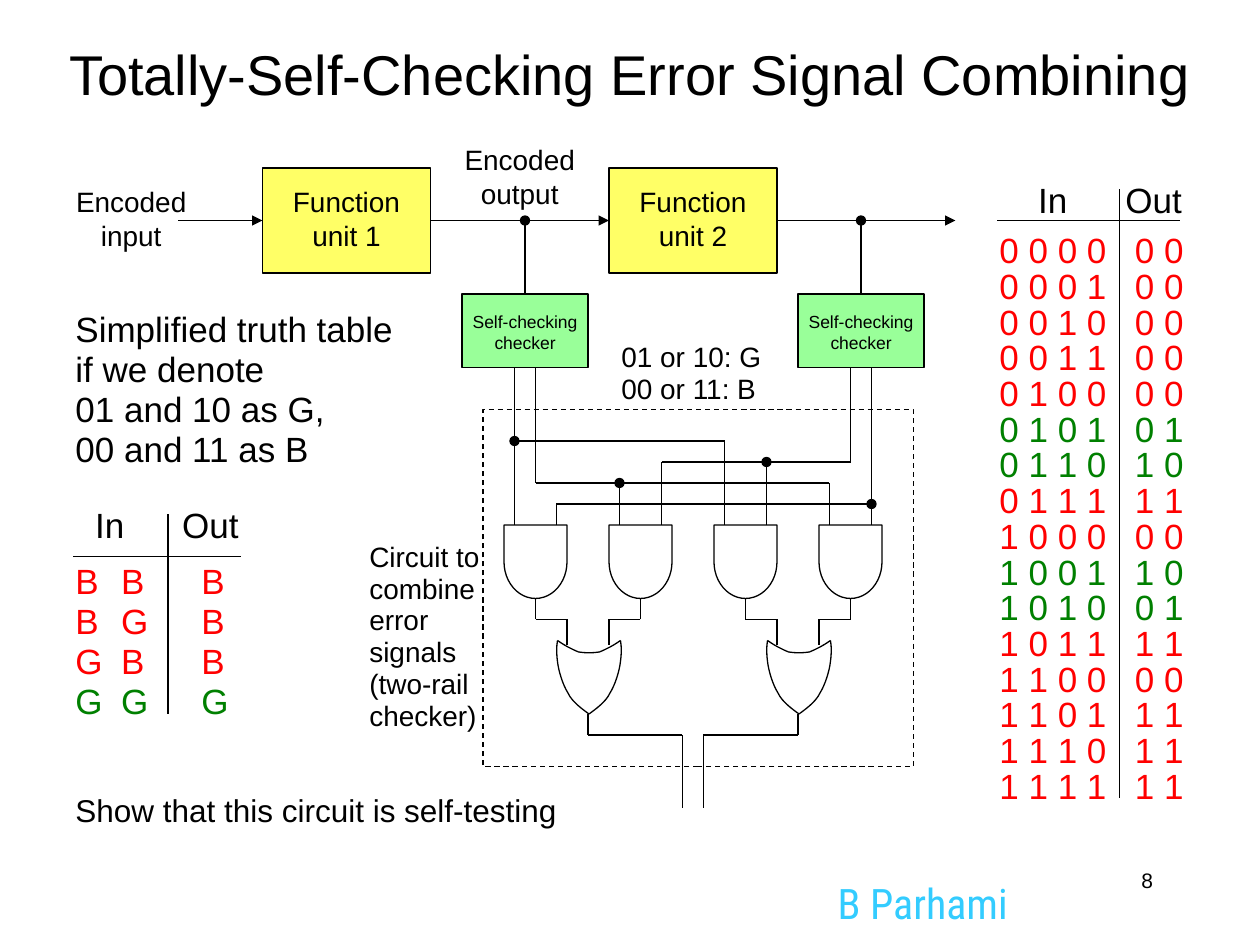
from lxml.etree import SubElement
from pptx import Presentation
from pptx.dml.color import RGBColor
from pptx.enum.dml import MSO_LINE
from pptx.enum.shapes import MSO_CONNECTOR, MSO_SHAPE
from pptx.enum.text import MSO_ANCHOR, PP_ALIGN
from pptx.oxml.ns import qn
from pptx.util import Cm, Pt

# Places and sizes are in grid units of a twelfth of an inch
UNIT = Cm(2.54) / 12
THEME = dict(font="Arial", author_font="Roboto Condensed",
             black="000000", white="FFFFFF", unit="FFFF66", checker="99FF99",
             bad="FF0000", good="008000", author="33CCFF", line=0.75,
             title=32, signature=24, table=20, note=18, label=16, number=12, small=10)

# --- Content ---
TITLE = "Totally-Self-Checking Error Signal Combining"
BOXES = [  # place, fill
    ((25, 16, 16, 10), "unit"), ((58, 16, 16, 10), "unit"),
    ((44, 28, 12, 7), "checker"), ((76, 28, 12, 7), "checker"),
]
CENTRED = dict(align=PP_ALIGN.CENTER)
TIGHT = dict(spacing=0.95)
LABELS = [  # text, place, format
    (["Function", "unit 1"], (22, 17, 22, 7.7), CENTRED),
    (["Function", "unit 2"], (55, 17, 22, 7.7), CENTRED),
    (["Self-checking checker"], (43, 29, 14, 5.3), dict(CENTRED, size="small")),
    (["Self-checking checker"], (75, 29, 14, 5.3), dict(CENTRED, size="small")),
    (["Encoded input"], (6, 17, 13, 7.7), CENTRED),
    (["Encoded output"], (43, 13, 13, 7.7), CENTRED),
    (["Circuit to combine error signals", "(two-rail checker)"], (34, 51, 13, 19.4), TIGHT),
    (["01 or 10: G", "00 or 11: B"], (58, 32, 16, 7.3), TIGHT),
    (["Show that this circuit is self-testing"], (6, 75, 50, 4.7), dict(TIGHT, size="note")),
    (["B Parhami"], (78.6, 83, 19, 5),
     dict(size="signature", font="author_font", color="author")),
    (["8"], (86, 82, 25, 6), dict(size="number", align=PP_ALIGN.RIGHT)),
]
INTRO = ["Simplified truth table", "if we denote", "01 and 10 as G,", "00 and 11 as B"]
SHORT_TABLE = [("B", "B", "B"), ("B", "G", "B"), ("G", "B", "B"), ("G", "G", "G")]
FULL_TABLE = [
    ("0000", "00"), ("0001", "00"), ("0010", "00"), ("0011", "00"),
    ("0100", "00"), ("0101", "01"), ("0110", "10"), ("0111", "11"),
    ("1000", "00"), ("1001", "10"), ("1010", "01"), ("1011", "11"),
    ("1100", "00"), ("1101", "11"), ("1110", "11"), ("1111", "11"),
]
WIRES = [  # corner points, end mark
    ([(17, 21), (25, 21)], "triangle"),
    ([(41, 21), (58, 21)], "triangle"),
    ([(74, 21), (91, 21)], "triangle"),
    ([(50, 28), (50, 21)], "oval"),
    ([(82, 28), (82, 21)], "oval"),
    # checker outputs to the AND gates
    ([(49, 35), (49, 50)], None),
    ([(83, 35), (83, 50)], None),
    ([(51, 35), (51, 46), (79, 46), (79, 50)], None),
    ([(81, 35), (81, 44), (63, 44), (63, 50)], None),
    ([(69, 50), (69, 42), (49, 42)], "oval"),
    ([(53, 50), (53, 48), (83, 48)], "oval"),
    ([(59, 50), (59, 46)], "oval"),
    ([(73, 50), (73, 44)], "oval"),
    # OR gates to the circuit outputs
    ([(56, 68), (56, 70), (65, 70), (65, 77)], None),
    ([(76, 68), (76, 70), (67, 70), (67, 77)], None),
    # table rules
    ([(95, 21), (112.4, 21)], None),
    ([(106.65, 18), (106.65, 76)], None),
    ([(7, 53), (23, 53)], None),
    ([(16, 49), (16, 68)], None),
]
# Leads outside the frame: columns, top, bottom
LEADS = [((49, 51, 81, 83), 35, 39), ((65, 67), 73, 77)]
AND_LEFTS = [48, 58, 68, 78]
OR_CENTRES = [56.1, 76.1]
# Bezier points of an OR gate: its back and its right side
OR_BACK = [(3, 0), (2.3, 0.5), (1.7, 0.8), (1, 1.1), (0.3, 1.2), (-0.3, 1.2), (-1, 1.1),
           (-1.7, 0.8), (-2.3, 0.5), (-3, 0)]
OR_SIDE = [(3, 0), (3.1, 0.6), (3.1, 1.2), (3, 2), (2.9, 2.9), (2.5, 4.2), (2, 5),
           (1.6, 5.9), (0.4, 6.7), (0, 7)]


def grid(*values):
    return [round(v * UNIT) for v in values]


def rgb(name):
    return RGBColor.from_string(THEME[name])


def write(tf, lines, size="label", font="font", color="black",
          align=PP_ALIGN.LEFT, spacing=None):
    """Each line is a string or (string, dict of color, before, tabs)."""
    tf.word_wrap = True
    for i, line in enumerate(lines):
        text, extra = (line, {}) if isinstance(line, str) else line
        p = tf.paragraphs[0] if i == 0 else tf.add_paragraph()
        p.alignment, p.line_spacing = align, spacing
        p.space_before = Pt(extra.get("before", 0))
        r = p.add_run()
        r.text = text
        r.font.name, r.font.size = THEME[font], Pt(THEME[size])
        r.font.color.rgb = rgb(extra.get("color", color))
        if "tabs" in extra:
            tabs = SubElement(p._p.get_or_add_pPr(), qn("a:tabLst"))
            for pos in extra["tabs"]:
                SubElement(tabs, qn("a:tab"), pos=str(Cm(pos)), algn="l")


def add_label(s, lines, place, **fmt):
    tf = s.shapes.add_textbox(*grid(*place)).text_frame
    write(tf, lines, **fmt)


def style(sp, fill="white"):
    sp.shadow.inherit = False
    if fill:
        sp.fill.solid()
        sp.fill.fore_color.rgb = rgb(fill)
    else:
        sp.fill.background()
    sp.line.color.rgb = rgb("black")
    sp.line.width = Pt(THEME["line"])


def add_wire(s, points, mark=None):
    for a, b in zip(points, points[1:]):
        c = s.shapes.add_connector(MSO_CONNECTOR.STRAIGHT, *grid(*a, *b))
        c.line.color.rgb = rgb("black")
        c.line.width = Pt(THEME["line"])
        if mark and b == points[-1]:
            SubElement(c.line._get_or_add_ln(), qn("a:tailEnd"), type=mark)
        SubElement(c._element.spPr, qn("a:effectLst"))


def add_curve(s, points):
    """Open outline whose points after the first are taken as Bezier triples."""
    corners = [grid(*pt) for pt in points]
    fb = s.shapes.build_freeform(*corners[0])
    fb.add_line_segments(corners[1:], close=False)
    sp = fb.convert_to_shape()
    style(sp)
    outline = next(sp._element.iter(qn("a:path")))
    segments = outline.findall(qn("a:lnTo"))
    for i in range(0, len(segments), 3):
        curve = SubElement(outline, qn("a:cubicBezTo"))
        for seg in segments[i:i + 3]:
            curve.append(seg[0])
            outline.remove(seg)


def add_or_gate(s, centre, top):
    left_side = [(-x, y) for x, y in OR_SIDE]
    for part in (OR_SIDE, left_side, OR_BACK):
        add_curve(s, [(centre + x, top + y) for x, y in part])


def truth_rows(rows, is_good, tabs, before):
    """Rows of a truth table, the first one set off from the heading."""
    return [("\t".join(" ".join(cell) for cell in row),
             dict(color="good" if is_good(row) else "bad", tabs=tabs,
                  before=0 if i else before))
            for i, row in enumerate(rows)]


def main():
    prs = Presentation()
    prs.slide_width, prs.slide_height = Cm(25.4), Cm(19.05)
    s = prs.slides.add_slide(prs.slide_layouts[5])

    # Title
    title = s.shapes.title
    title.left, title.top, title.width, title.height = grid(3, 3, 114, 8)
    title.text_frame.vertical_anchor = MSO_ANCHOR.MIDDLE
    write(title.text_frame, [TITLE], size="title", align=PP_ALIGN.CENTER)

    # Gates, with the wires that join each AND gate to its OR gate
    for centre in OR_CENTRES:
        add_or_gate(s, centre, 61)
    for i, left in enumerate(AND_LEFTS):
        gate = s.shapes.add_shape(MSO_SHAPE.FLOWCHART_DELAY, *grid(left - 0.5, 50.5, 7, 6))
        gate.rotation = 90
        style(gate)
        out = left + 3
        into = out + (-3 if i % 2 else 3)
        add_wire(s, [(out, 57), (out, 59), (into, 59), (into, 61.4)])

    # Frame of the combining circuit
    frame = s.shapes.add_shape(MSO_SHAPE.RECTANGLE, *grid(46, 39, 41, 34))
    style(frame, fill=None)
    frame.line.dash_style = MSO_LINE.DASH

    # Function units and checkers
    for place, fill in BOXES:
        style(s.shapes.add_shape(MSO_SHAPE.RECTANGLE, *grid(*place)), fill)

    # Wires, rules and labels
    for points, mark in WIRES:
        add_wire(s, points, mark)
    for columns, top, bottom in LEADS:
        for x in columns:
            add_wire(s, [(x, top), (x, bottom)])
    for lines, place, fmt in LABELS:
        add_label(s, lines, place, **fmt)

    # Truth tables
    short = truth_rows(SHORT_TABLE, lambda row: row[-1] == "G", (0.92, 2.54), 9.3)
    heading = ("\tIn\tOut", dict(tabs=(0.4, 2.15), before=20.5))
    add_label(s, INTRO + [heading] + short, (6, 29, 34, 40.4), size="table", spacing=0.95)
    full = truth_rows(FULL_TABLE, lambda row: row[1] in ("01", "10"), (2.73,), 8.4)
    heading = ("\tIn\tOut", dict(tabs=(0.78, 2.54)))
    add_label(s, [heading] + full, (94, 17, 20, 60.4), size="table", spacing=0.85)

    prs.save("out.pptx")


if __name__ == "__main__":
    main()
